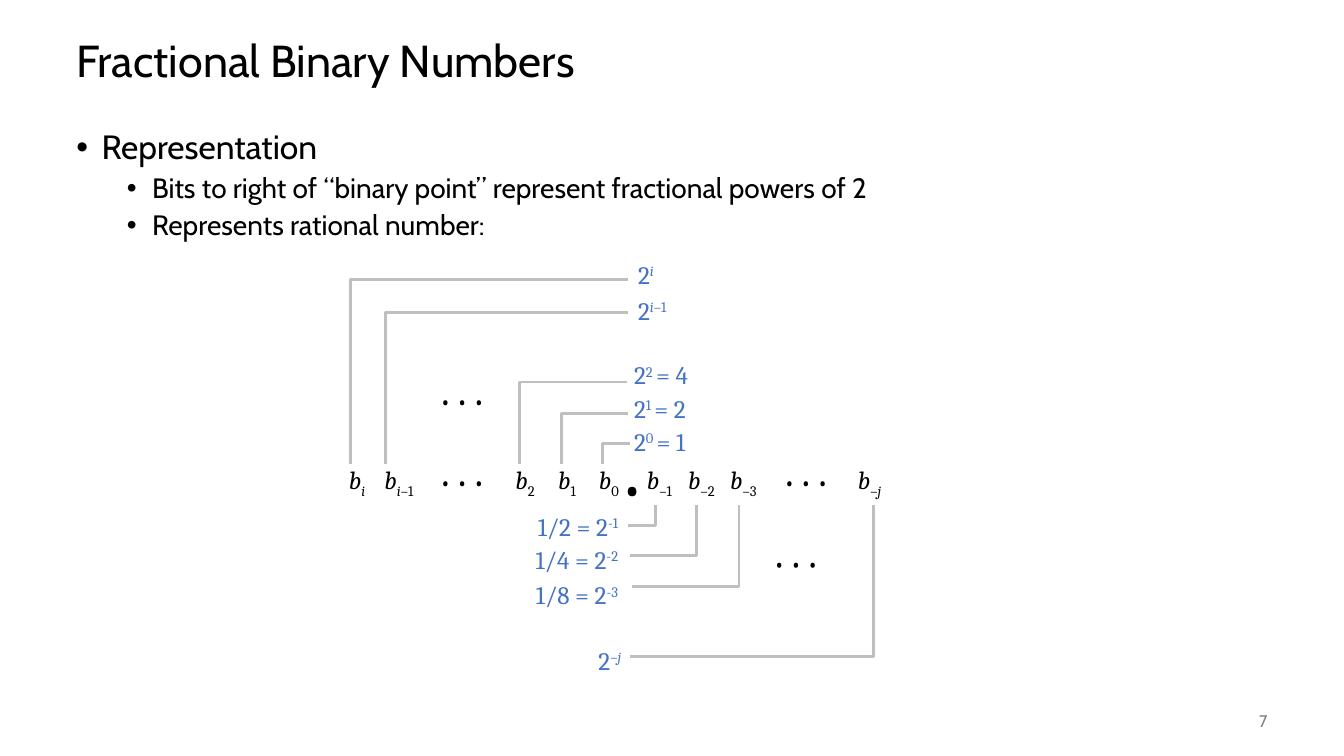
import pptx
import pptx.util
from lxml import etree
from pptx.dml.color import RGBColor
from pptx.enum.shapes import MSO_SHAPE
from pptx.enum.text import MSO_ANCHOR, MSO_AUTO_SIZE, PP_ALIGN
from pptx.oxml.ns import qn

# Content: a run is (text, marks); marks are i italic, ^ superscript, _ subscript
COLORS = {"ink": "000000", "paper": "FFFFFF", "power": "4472C4",
          "leader": "BFBFBF", "number": "808080"}
TITLE = "Fractional Binary Numbers"
OUTLINE = [  # text, size, left margin, space before
    ("Representation", 24, 25, 0),
    ("Bits to right of “binary point” represent fractional powers of 2", 20, 75, 5),
    ("Represents rational number:", 20, 75, 5),
]
PAGE = "7"
DOTS = [("• • •", "")]

# Bits either side of the binary point: start x, then (column, subscript)
BITS = [
    (333, [(0, [("i", "_i")]), (1, [("i", "_i"), ("–1", "_")]),
           (4, [("2", "_")]), (5, [("1", "_")]), (6, [("0", "_")])]),
    (633, [(0, [("–1", "_")]), (1, [("–2", "_")]), (2, [("–3", "_")]),
           (5, [("–", "_"), ("j", "_i")])]),
]
# Weights: label runs, label box, leader start (x, y), bit x
WHOLE = [
    ([("2", ""), ("0 ", "^"), ("= 1", "")], (619, 418, 79), (625, 440), 598),
    ([("2", ""), ("1 ", "^"), ("= 2", "")], (619, 385, 79), (623, 410), 557),
    ([("2", ""), ("2 ", "^"), ("= 4", "")], (619, 352, 79), (622, 379), 515),
    ([("2", ""), ("i", "^i")], (623, 252, 37), (623, 277), 348),
    ([("2", ""), ("i", "^i"), ("–1", "^")], (623, 288, 54), (623, 310), 382),
]
FRACTION = [
    ([("1/2 = 2", ""), ("-1", "^")], (517, 502, 106), (623, 521), 650),
    ([("1/4 = 2", ""), ("-2", "^")], (517, 535, 106), (625, 551), 691),
    ([("1/8 = 2", ""), ("-3", "^")], (517, 570, 106), (627, 582), 733),
    ([("2", ""), ("–", "^"), ("j", "^i")], (580, 635, 46), (625, 651), 866),
]
BIT_W, BIT_H, BIT_TOP = 42, 58, 449
PITCH = 125 / 3
DOTS_W = 83
LEADER_ENDS = {"above": 460, "below": 501}

PX = pptx.util.Inches(1) // 100
deck = pptx.Presentation()
deck.slide_width, deck.slide_height = 1333 * PX, 750 * PX
slide = deck.slides.add_slide(deck.slide_layouts[6])


def emu(*lengths):
    return [round(length * PX) for length in lengths]


def write(paragraph, runs, size, face="Cambria", color="ink", bold=False):
    for text, marks in runs:
        run = paragraph.add_run()
        run.text = text
        look = {"name": face, "size": pptx.util.Pt(size), "bold": bold, "italic": "i" in marks}
        for key, value in look.items():
            setattr(run.font, key, value)
        run.font.color.rgb = RGBColor.from_string(COLORS[color])
        for mark, offset in (("^", "30000"), ("_", "-25000")):
            if mark in marks:
                run._r.get_or_add_rPr().set("baseline", offset)


def text_box(left, top, width, height, **frame_format):
    frame = slide.shapes.add_textbox(*emu(left, top, width, height)).text_frame
    for key, value in {"word_wrap": True, **frame_format}.items():
        setattr(frame, key, value)
    return frame


def cell(left, top, width, runs, size=18, bold=False):
    box = slide.shapes.add_shape(MSO_SHAPE.RECTANGLE, *emu(left, top, width, BIT_H))
    box.shadow.inherit = False
    box.fill.solid()
    box.fill.fore_color.rgb = RGBColor.from_string(COLORS["paper"])
    box.line.fill.background()
    frame = box.text_frame
    for key, value in {"word_wrap": False, "vertical_anchor": MSO_ANCHOR.MIDDLE}.items():
        setattr(frame, key, value)
    frame.paragraphs[0].alignment = PP_ALIGN.CENTER
    write(frame.paragraphs[0], runs, size, bold=bold)
    return box


def weight(runs, label_box, start, bit_x, end_y, align):
    label = text_box(*label_box, 40, word_wrap=False,
                     auto_size=MSO_AUTO_SIZE.SHAPE_TO_FIT_TEXT)
    label.paragraphs[0].alignment = align
    write(label.paragraphs[0], runs, 18, color="power")
    path_builder = slide.shapes.build_freeform(*start, scale=PX)
    path_builder.add_line_segments([(bit_x, start[1]), (bit_x, end_y)], close=False)
    leader = path_builder.convert_to_shape()
    leader.shadow.inherit = False
    leader.fill.background()
    leader.line.color.rgb = RGBColor.from_string(COLORS["leader"])
    leader.line.width = pptx.util.Pt(2)


# Title and outline
heading = text_box(66, 25, 1200, 75, vertical_anchor=MSO_ANCHOR.MIDDLE).paragraphs[0]
heading.line_spacing = 0.9
write(heading, [(TITLE, "")], 32, "Cabin")

outline = text_box(66, 125, 1200, 550)
for index, (text, size, margin, before) in enumerate(OUTLINE):
    item = outline.add_paragraph() if index else outline.paragraphs[0]
    item.line_spacing = 0.9
    item.space_before = pptx.util.Pt(before)
    item.level = 1 if index else 0
    properties = item._p.get_or_add_pPr()
    properties.set("marL", str(margin * PX))
    properties.set("indent", str(-25 * PX))
    etree.SubElement(properties, qn("a:buFont"), typeface="Arial")
    etree.SubElement(properties, qn("a:buChar"), char="•")
    write(item, [(text, "")], size, "Cabin")

# Row of bits around the binary point
for start_x, bits in BITS:
    for column, subscript in bits:
        cell(start_x + column * PITCH, BIT_TOP, BIT_W, [("b", "i")] + subscript)
for left in (758, 417):
    cell(left, BIT_TOP, DOTS_W, DOTS)
cell(623, 439, 8, [(".", "")], size=44, bold=True)

# Weights with their leaders
for entry in WHOLE:
    weight(*entry, LEADER_ENDS["above"], PP_ALIGN.LEFT)
cell(417, 368, DOTS_W, DOTS)
for entry in FRACTION:
    weight(*entry, LEADER_ENDS["below"], PP_ALIGN.RIGHT)
cell(748, 535, DOTS_W, DOTS).rotation = 180

# Slide number
number = text_box(1167, 695, 100, 40, vertical_anchor=MSO_ANCHOR.MIDDLE).paragraphs[0]
number.alignment = PP_ALIGN.RIGHT
write(number, [(PAGE, "")], 12, "Cabin", "number")

deck.save("out.pptx")
